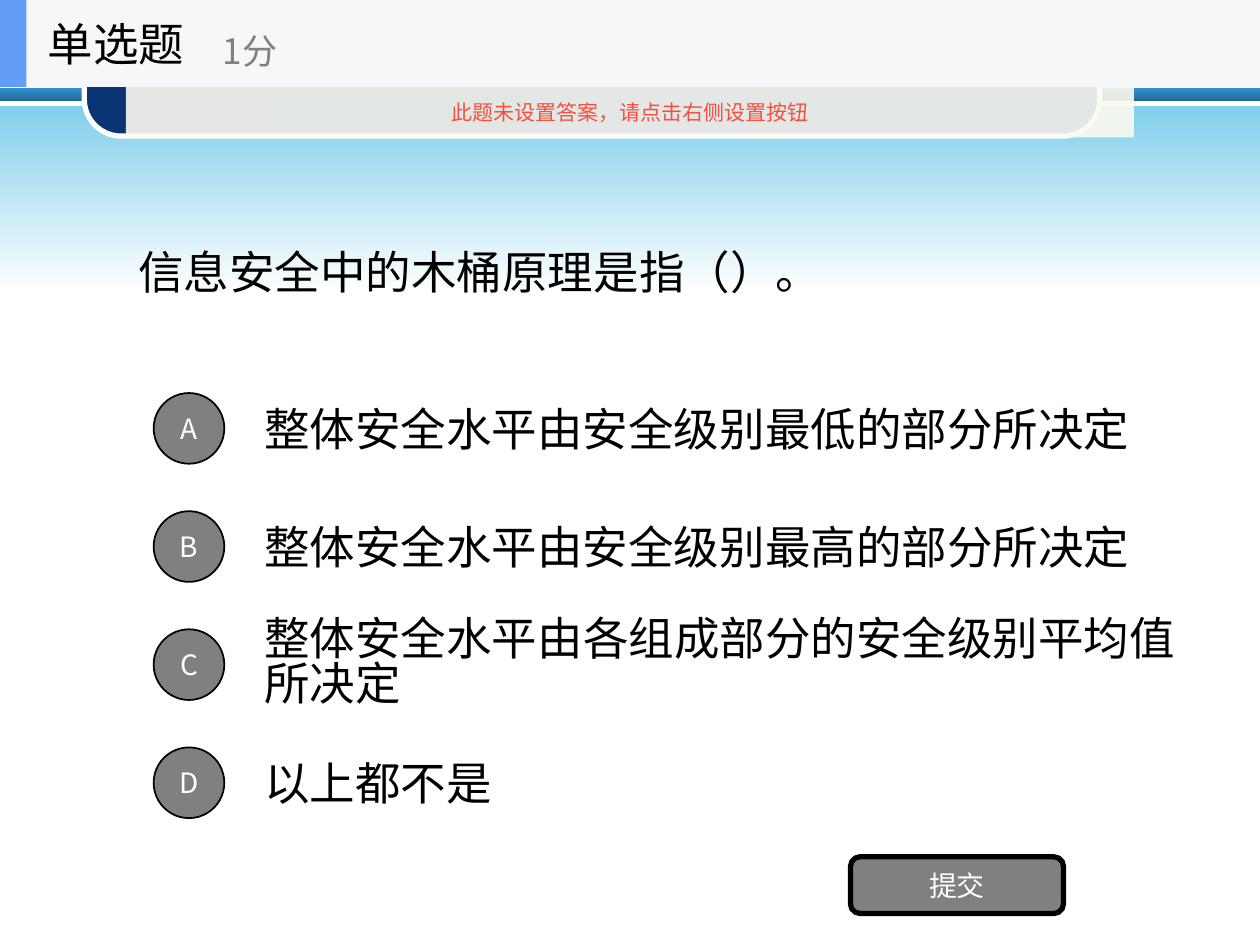
from dataclasses import dataclass

from lxml.etree import SubElement
from pptx import Presentation
from pptx.dml.color import RGBColor
from pptx.enum.shapes import MSO_SHAPE as Shape
from pptx.enum.text import MSO_ANCHOR as Anchor, PP_ALIGN as Align
from pptx.oxml.ns import qn
from pptx.util import Pt


@dataclass(frozen=True)
class Theme:
    sans: str = "Noto Sans CJK SC"
    serif: str = "Times New Roman"
    black: str = "000000"
    white: str = "FFFFFF"
    gray: str = "808080"
    header: str = "F6F7F8"
    accent: str = "639EF4"
    notice: str = "FBFAEF"
    warning: str = "F84F41"
    stripe: tuple = ("3191D3", "236897")
    sky: tuple = ("81CFEB", "FFFFFF")
    tab: tuple = ("0A3574", "0E4AA2")
    body_size: int = 26
    score_size: int = 20
    label_size: int = 16
    notice_size: int = 12


THEME = Theme()
DOWN, ACROSS = 270, 0
OPTIONS = [
    ("A", "整体安全水平由安全级别最低的部分所决定", THEME.serif, 546, 1),
    ("B", "整体安全水平由安全级别最高的部分所决定", THEME.serif, 546, 1),
    ("C", "整体安全水平由各组成部分的安全级别平均值所决定", THEME.serif, 552, 0.82),
    ("D", "以上都不是", THEME.sans, 504, 1),
]
OPTION_TOP, OPTION_PITCH, OPTION_HEIGHT = 219.6, 67.5, 50.4
BADGE_LEFT, BADGE_SIZE = 87.8, 40.4


def color(value):
    return RGBColor.from_string(value)


def write(shape, text, size, ink, font=THEME.sans, align=Align.LEFT, spacing=1):
    frame = shape.text_frame
    frame.word_wrap = True
    frame.vertical_anchor = Anchor.MIDDLE
    para = frame.paragraphs[0]
    para.alignment = align
    para.line_spacing = spacing
    span = para.add_run()
    span.text = text
    span.font.size = Pt(size)
    span.font.name = font
    span.font.color.rgb = color(ink)
    SubElement(span.font._element, qn("a:ea"), typeface=THEME.sans)


def add_text(shapes, bounds, text, size, ink=THEME.black, font=THEME.sans, spacing=1):
    box = shapes.add_textbox(*map(Pt, bounds))
    write(box, text, size, ink, font, spacing=spacing)


def add_block(shapes, kind, bounds, fill, line=None, width=1, corner=None, angle=DOWN):
    """Add a preset shape; a pair of colours as fill makes a gradient."""
    block = shapes.add_shape(kind, *map(Pt, bounds))
    block.shadow.inherit = False
    if corner is not None:
        block.adjustments[0] = corner
    if isinstance(fill, tuple):
        block.fill.gradient()
        block.fill.gradient_angle = angle
        for stop, value in zip(block.fill.gradient_stops, fill):
            stop.color.rgb = color(value)
    else:
        block.fill.solid()
        block.fill.fore_color.rgb = color(fill)
    if line:
        block.line.color.rgb = color(line)
        block.line.width = Pt(width)
    else:
        block.line.fill.background()
    return block


def add_label(block, text, size=THEME.label_size, ink=THEME.white):
    frame = block.text_frame
    frame.margin_left = frame.margin_right = 0
    frame.margin_top = frame.margin_bottom = 0
    write(block, text, size, ink, align=Align.CENTER)


def set_opacity(block, percent):
    fill = block._element.spPr.find(qn("a:solidFill"))
    SubElement(fill[0], qn("a:alpha"), val=str(percent * 1000))


def add_backdrop(shapes):
    add_block(shapes, Shape.RECTANGLE, (0, 50.4, 720, 7.2), THEME.stripe)
    add_block(shapes, Shape.RECTANGLE, (0, 60.5, 720, 107.3), THEME.sky)
    add_block(shapes, Shape.ROUNDED_RECTANGLE, (48.2, 27.4, 580.3, 50.4), THEME.tab,
              THEME.white, 3, 0.419, ACROSS)


def add_options(shapes):
    tops = [OPTION_TOP + row * OPTION_PITCH for row in range(len(OPTIONS))]
    for top, (_, text, font, width, spacing) in zip(tops, OPTIONS):
        add_text(shapes, (144, top, width, OPTION_HEIGHT), text, THEME.body_size,
                 font=font, spacing=spacing)
    inset = (OPTION_HEIGHT - BADGE_SIZE) / 2
    for top, (letter, *_) in zip(tops, OPTIONS):
        badge = add_block(shapes, Shape.OVAL, (BADGE_LEFT, top + inset, BADGE_SIZE, BADGE_SIZE),
                          THEME.gray, THEME.black)
        add_label(badge, letter)


def add_submit(shapes):
    button = add_block(shapes, Shape.ROUNDED_RECTANGLE, (486, 489.6, 121.7, 32.4),
                       THEME.gray, THEME.black, 3, 0.167)
    add_label(button, "提交")


def add_header(shapes):
    group = shapes.add_group_shape().shapes
    add_block(group, Shape.RECTANGLE, (0, 0, 720, 49.7), THEME.header)
    add_block(group, Shape.RECTANGLE, (0, 0, 15.1, 49.7), THEME.accent)
    add_text(group, (20.2, 0, 149.8, 49.7), "单选题", THEME.body_size)
    add_text(group, (120.2, 8.6, 180, 40.3), "1分", THEME.score_size, THEME.gray)


def add_notice(shapes):
    notice = add_block(shapes, Shape.RECTANGLE, (72, 49.7, 576, 28.8), THEME.notice)
    set_opacity(notice, 90)
    add_label(notice, "此题未设置答案，请点击右侧设置按钮", THEME.notice_size, THEME.warning)


def main():
    deck = Presentation()
    deck.slide_width, deck.slide_height = Pt(720), Pt(540)
    page = deck.slides.add_slide(deck.slide_layouts[6])
    shapes = page.shapes
    add_backdrop(shapes)
    add_text(shapes, (72, 95.8, 576, 118), "信息安全中的木桶原理是指（）。",
             THEME.body_size, font=THEME.serif)
    add_options(shapes)
    add_submit(shapes)
    add_header(shapes)
    add_notice(shapes)
    deck.save("out.pptx")


if __name__ == "__main__":
    main()
